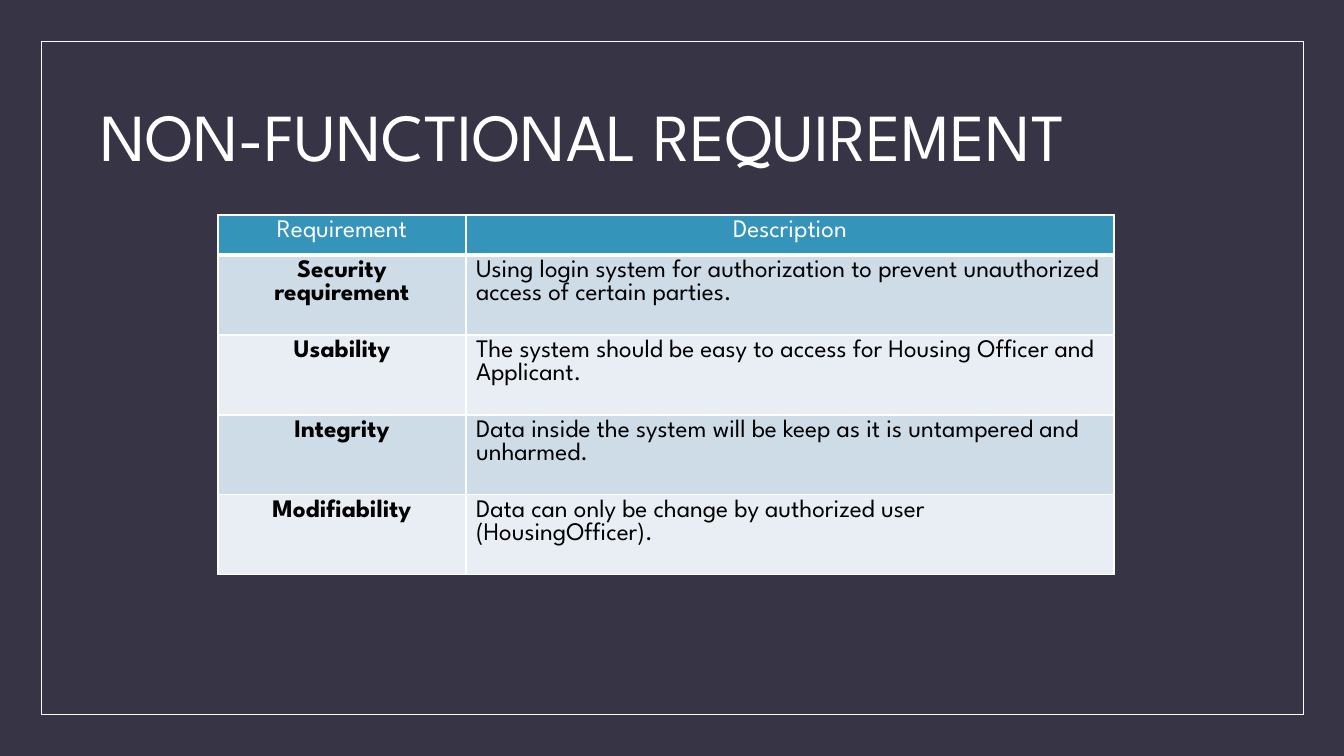
"""Builds the non-functional requirement slide with a title, a frame and a table."""
from dataclasses import dataclass

from lxml import etree
from pptx import Presentation
from pptx import util as u
from pptx.dml.color import RGBColor
from pptx.enum import shapes, text
from pptx.oxml import ns


@dataclass(frozen=True)
class Theme:
    """Holds the colours, type sizes and line widths."""
    font: str = "League Spartan"
    background: str = "373545"
    light: str = "FFFFFF"
    dark: str = "000000"
    header: str = "3494BA"
    bands: tuple = ("CEDCE7", "E8EEF3")
    title_size: int = 48
    body_size: int = 18
    frame_width: float = 0.5
    border_width: int = 1
    header_rule_width: int = 3


REQUIREMENTS = [
    ("Requirement", "Description"),
    ("Security requirement",
     "Using login system for authorization to prevent unauthorized access of certain parties."),
    ("Usability", "The system should be easy to access for Housing Officer and Applicant."),
    ("Integrity", "Data inside the system will be keep as it is untampered and unharmed."),
    ("Modifiability", "Data can only be change by authorized user (HousingOfficer)."),
]


def px(length):
    """Turns whole pixels into EMU."""
    return u.Emu(round(length * u.Inches(1) / 100.8))


class SlideBuilder:
    """Adds styled elements to the current slide."""

    def __init__(self, presentation, theme):
        """Opens a title-only slide with the theme background."""
        self.theme = theme
        self.slide = presentation.slides.add_slide(presentation.slide_layouts[5])
        fill = self.slide.background.fill
        fill.solid()
        fill.fore_color.rgb = RGBColor.from_string(theme.background)

    def style(self, paragraph, size, color, bold=False):
        """Formats every run of a paragraph."""
        for run in paragraph.runs:
            run.font.name = self.theme.font
            run.font.size = u.Pt(size)
            run.font.bold = bold
            run.font.color.rgb = RGBColor.from_string(color)

    def title(self, wording, left, top, width, height):
        """Places and formats the title placeholder."""
        shape = self.slide.shapes.title
        shape.left, shape.top, shape.width, shape.height = map(px, (left, top, width, height))
        frame = shape.text_frame
        frame.text = wording
        frame.word_wrap = True
        frame.auto_size = text.MSO_AUTO_SIZE.NONE
        frame.vertical_anchor = text.MSO_ANCHOR.MIDDLE
        paragraph = frame.paragraphs[0]
        paragraph.alignment = text.PP_ALIGN.LEFT
        paragraph.line_spacing = 0.9
        self.style(paragraph, self.theme.title_size, self.theme.light)

    def frame(self, left, top, width, height):
        """Draws an unfilled outline."""
        shape = self.slide.shapes.add_shape(
            shapes.MSO_SHAPE.RECTANGLE, *map(px, (left, top, width, height)))
        shape.shadow.inherit = False
        shape.fill.background()
        shape.line.color.rgb = RGBColor.from_string(self.theme.light)
        shape.line.width = u.Pt(self.theme.frame_width)

    def borders(self, cell, bottom_width):
        """Draws the four borders of a cell."""
        properties = cell._tc.get_or_add_tcPr()
        for side in "LRTB":
            width = bottom_width if side == "B" else self.theme.border_width
            line = etree.SubElement(properties, ns.qn(f"a:ln{side}"), w=str(u.Pt(width)))
            fill = etree.SubElement(line, ns.qn("a:solidFill"))
            etree.SubElement(fill, ns.qn("a:srgbClr"), val=self.theme.light)

    def cell(self, cell, wording, row, column):
        """Fills and formats a cell by its place in the table."""
        theme = self.theme
        is_header = row == 0
        is_label = column == 0
        self.borders(cell, theme.header_rule_width if is_header else theme.border_width)
        cell.fill.solid()
        color = theme.header if is_header else theme.bands[(row - 1) % 2]
        cell.fill.fore_color.rgb = RGBColor.from_string(color)
        cell.text_frame.text = wording
        paragraph = cell.text_frame.paragraphs[0]
        centred = is_header or is_label
        paragraph.alignment = text.PP_ALIGN.CENTER if centred else text.PP_ALIGN.LEFT
        self.style(paragraph, theme.body_size, theme.light if is_header else theme.dark,
                   bold=is_label and not is_header)

    def table(self, rows, left, top, column_widths, header_height, row_height):
        """Adds a table with a header and banded rows."""
        heights = [header_height] + [row_height] * (len(rows) - 1)
        table = self.slide.shapes.add_table(
            len(rows), len(column_widths), px(left), px(top),
            px(sum(column_widths)), px(sum(heights))).table
        for column, width in zip(table.columns, column_widths):
            column.width = px(width)
        for row, height in zip(table.rows, heights):
            row.height = px(height)
        for row, wordings in enumerate(rows):
            for column, wording in enumerate(wordings):
                self.cell(table.cell(row, column), wording, row, column)


def main():
    """Builds and saves the presentation."""
    presentation = Presentation()
    presentation.slide_width, presentation.slide_height = px(1344), px(756)
    builder = SlideBuilder(presentation, Theme())
    builder.frame(41, 41, 1262, 673)
    builder.title("NON-FUNCTIONAL REQUIREMENT", 90, 64, 1189, 151)
    builder.table(REQUIREMENTS, 218, 215, (248, 648), 40, 80)
    presentation.save("out.pptx")


if __name__ == "__main__":
    main()
